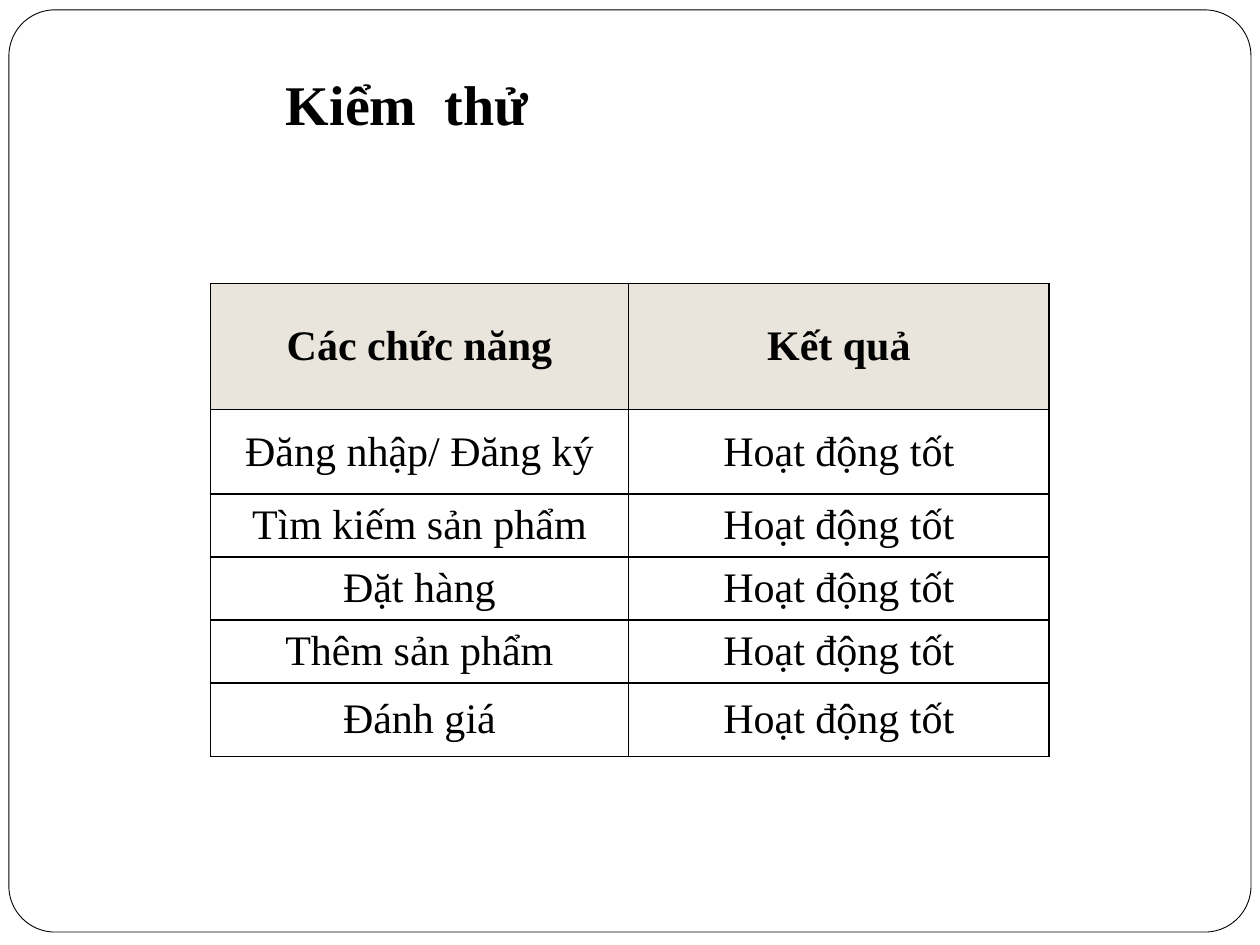
from lxml.etree import SubElement
from pptx import Presentation
from pptx.dml.color import RGBColor
from pptx.enum.shapes import MSO_SHAPE
from pptx.enum.text import MSO_ANCHOR, PP_ALIGN
from pptx.oxml.ns import qn
from pptx.util import Cm, Pt

# Content
TITLE = "Kiểm  thử"
HEADER = ("Các chức năng", "Kết quả")
FEATURES = ["Đăng nhập/ Đăng ký", "Tìm kiếm sản phẩm", "Đặt hàng",
            "Thêm sản phẩm", "Đánh giá"]
RESULT = "Hoạt động tốt"
ROWS = [HEADER] + [(feature, RESULT) for feature in FEATURES]

# Theme and layout (cm)
THEME = {"font": "Times New Roman", "title": 32, "cell": 24,
         "ink": "000000", "paper": "FFFFFF", "header": "E9E5DC",
         "frame_line": 0.5, "border": 1}
FRAME = (0.18, 0.2, 25.04, 18.59)
TITLE_BOX = (5.51, 1.27, 18.21, 1.63)
TABLE_AT = (4.24, 5.72)
COL_WIDTHS = (8.43, 8.48)
ROW_HEIGHTS = (2.54, 1.7, 1.27, 1.27, 1.27, 1.48)


def color(name):
    return RGBColor.from_string(THEME[name])


def write(tf, text, size, bold, align):
    tf.word_wrap = True
    p = tf.paragraphs[0]
    p.alignment = align
    r = p.add_run()
    r.text = text
    style = {"name": THEME["font"], "size": Pt(THEME[size]), "bold": bold}
    for key, value in style.items():
        setattr(r.font, key, value)
    r.font.color.rgb = color("ink")


def add_borders(cell):
    tcPr = cell._tc.get_or_add_tcPr()
    for side in ("lnL", "lnR", "lnT", "lnB"):
        ln = SubElement(tcPr, qn(f"a:{side}"), w=str(Pt(THEME["border"])))
        fill = SubElement(ln, qn("a:solidFill"))
        SubElement(fill, qn("a:srgbClr"), val=THEME["ink"])


prs = Presentation()
prs.slide_width, prs.slide_height = Cm(25.4), Cm(19.05)
s = prs.slides.add_slide(prs.slide_layouts[5])

# Rounded frame behind everything
frame = s.shapes.add_shape(MSO_SHAPE.ROUNDED_RECTANGLE, *map(Cm, FRAME))
frame.adjustments[0] = 0.05
frame.shadow.inherit = False
frame.fill.solid()
frame.fill.fore_color.rgb = color("paper")
frame.line.color.rgb = color("ink")
frame.line.width = Pt(THEME["frame_line"])
s.shapes._spTree.insert(2, frame._element)

# Title
title = s.shapes.title
for key, value in zip(("left", "top", "width", "height"), TITLE_BOX):
    setattr(title, key, Cm(value))
title.text_frame.vertical_anchor = MSO_ANCHOR.TOP
write(title.text_frame, TITLE, "title", True, PP_ALIGN.LEFT)

# Test results table
table = s.shapes.add_table(len(ROWS), len(HEADER), *map(Cm, TABLE_AT),
                           Cm(sum(COL_WIDTHS)), Cm(sum(ROW_HEIGHTS))).table
for col, width in zip(table.columns, COL_WIDTHS):
    col.width = Cm(width)
for i, (row, height, texts) in enumerate(zip(table.rows, ROW_HEIGHTS, ROWS)):
    row.height = Cm(height)
    for cell, text in zip(row.cells, texts):
        add_borders(cell)
        cell.fill.solid()
        cell.fill.fore_color.rgb = color("paper" if i else "header")
        cell.vertical_anchor = MSO_ANCHOR.MIDDLE
        write(cell.text_frame, text, "cell", i == 0, PP_ALIGN.CENTER)

prs.save("out.pptx")
